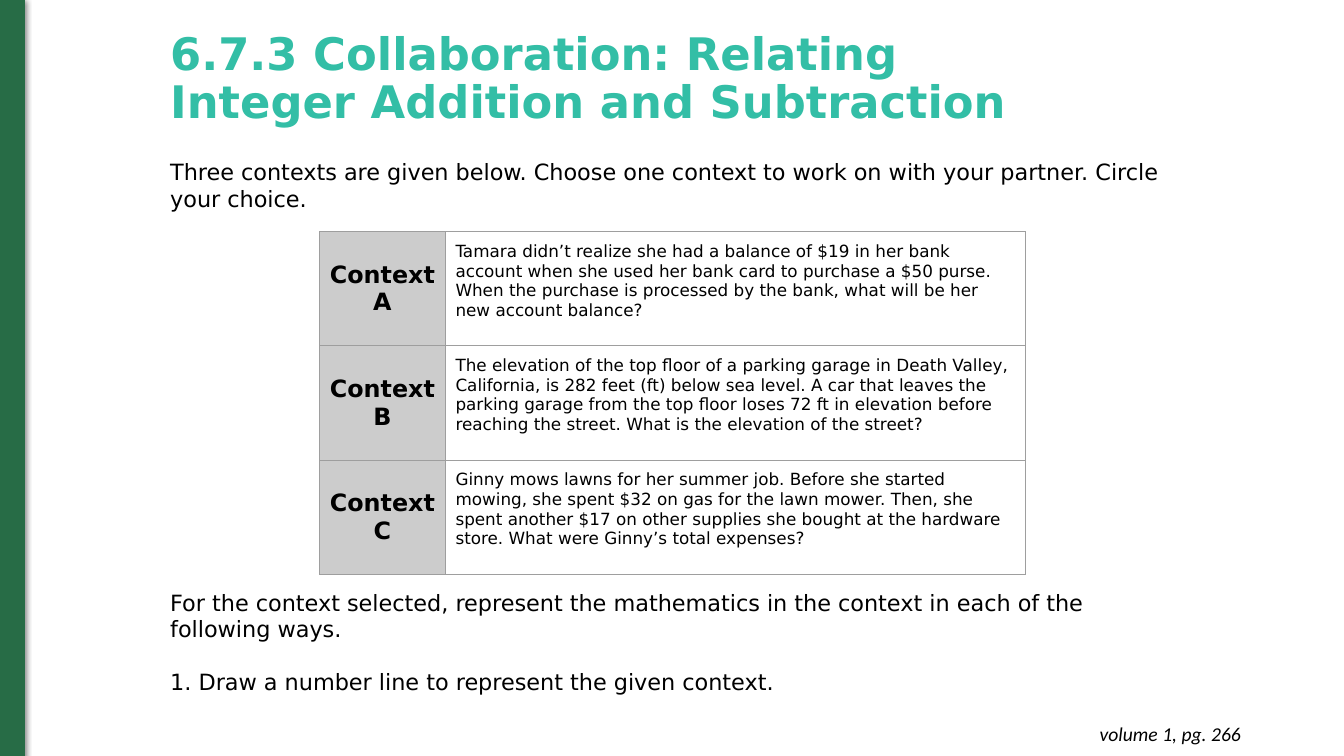
from dataclasses import dataclass

from lxml import etree
from pptx import Presentation
from pptx.dml.color import RGBColor
from pptx.enum import shapes, text
from pptx.oxml import ns
from pptx.util import Pt

COLORS = {
    "bar": "276C46",
    "title": "33BEA6",
    "ink": "000000",
    "label": "CCCCCC",
    "border": "9E9E9E",
}
BODY_FONT = "DejaVu Sans"
LEFT = 114.5
INSET = 7.2


@dataclass(frozen=True)
class Context:
    label: str
    problem: str


@dataclass(frozen=True)
class TextBlock:
    left: float
    top: float
    width: float
    height: float
    paragraphs: tuple[str, ...]
    size: float = 16
    font: str = BODY_FONT
    color: str = "ink"
    bold: bool = False
    italic: bool = False
    align: text.PP_ALIGN = text.PP_ALIGN.LEFT
    anchor: text.MSO_ANCHOR = text.MSO_ANCHOR.TOP
    inset_y: float = INSET
    line_spacing: float = 1.0
    gap: float = 0


CONTEXTS = (
    Context(
        "Context A",
        "Tamara didn’t realize she had a balance of $19 in her bank account when she used "
        "her bank card to purchase a $50 purse. When the purchase is processed by the bank, "
        "what will be her new account balance?",
    ),
    Context(
        "Context B",
        "The elevation of the top floor of a parking garage in Death Valley, California, is "
        "282 feet (ft) below sea level. A car that leaves the parking garage from the top "
        "floor loses 72 ft in elevation before reaching the street. What is the elevation of "
        "the street?",
    ),
    Context(
        "Context C",
        "Ginny mows lawns for her summer job. Before she started mowing, she spent $32 on gas "
        "for the lawn mower. Then, she spent another $17 on other supplies she bought at the "
        "hardware store. What were Ginny’s total expenses?",
    ),
)

TEXT_BLOCKS = (
    TextBlock(
        LEFT, 5, 631.5, 104.4,
        ("6.7.3 Collaboration: Relating Integer Addition and Subtraction",),
        size=32, color="title", bold=True, anchor=text.MSO_ANCHOR.MIDDLE,
        inset_y=3.6, line_spacing=0.9,
    ),
    TextBlock(
        LEFT, 109.4, 751.7, 46,
        ("Three contexts are given below. Choose one context to work on with your partner. "
         "Circle your choice.",),
        inset_y=3.6,
    ),
    TextBlock(
        LEFT, 413.3, 697, 92,
        ("For the context selected, represent the mathematics in the context in each of the "
         "following ways.",
         "1. Draw a number line to represent the given context."),
        gap=18.75,
    ),
    TextBlock(
        686.2, 508.3, 207.4, 31.7, ("volume 1, pg. 266",),
        size=14, font="Calibri", italic=True, align=text.PP_ALIGN.RIGHT,
    ),
)


def rgb(name: str) -> RGBColor:
    return RGBColor.from_string(COLORS[name])


def write(frame, paragraphs: tuple[str, ...], *, size: float, font: str = BODY_FONT,
          color: str = "ink", bold: bool = False, italic: bool = False,
          align: text.PP_ALIGN = text.PP_ALIGN.LEFT, line_spacing: float = 1.0,
          gap: float = 0) -> None:
    """Fill a text frame, leaving the gap between paragraphs."""
    frame.word_wrap = True
    for index, words in enumerate(paragraphs):
        paragraph = frame.add_paragraph() if index else frame.paragraphs[0]
        paragraph.alignment = align
        paragraph.line_spacing = line_spacing
        if index:
            paragraph.space_before = Pt(gap)
        run = paragraph.add_run()
        run.text = words
        run.font.size = Pt(size)
        run.font.name = font
        run.font.bold = bold
        run.font.italic = italic
        run.font.color.rgb = rgb(color)


def add_text_block(slide, block: TextBlock) -> None:
    frame = slide.shapes.add_textbox(
        Pt(block.left), Pt(block.top), Pt(block.width), Pt(block.height)).text_frame
    frame.margin_left = frame.margin_right = Pt(INSET)
    frame.margin_top = frame.margin_bottom = Pt(block.inset_y)
    frame.vertical_anchor = block.anchor
    write(frame, block.paragraphs, size=block.size, font=block.font, color=block.color,
          bold=block.bold, italic=block.italic, align=block.align,
          line_spacing=block.line_spacing, gap=block.gap)


def add_side_bar(slide) -> None:
    bar = slide.shapes.add_shape(
        shapes.MSO_SHAPE.RECTANGLE, Pt(0), Pt(-0.5), Pt(17.5), Pt(541))
    bar.fill.solid()
    bar.fill.fore_color.rgb = rgb("bar")
    bar.line.color.rgb = rgb("bar")
    bar.line.width = Pt(0.75)
    bar.shadow.inherit = False
    effects = bar._element.spPr.find(ns.qn("a:effectLst"))
    shadow = etree.SubElement(
        effects, ns.qn("a:outerShdw"), blurRad=str(Pt(4.5)), dist=str(Pt(1.5)),
        dir="5400000", algn="bl", rotWithShape="0")
    tint = etree.SubElement(shadow, ns.qn("a:srgbClr"), val=COLORS["ink"])
    etree.SubElement(tint, ns.qn("a:alpha"), val="49000")


def add_borders(cell) -> None:
    properties = cell._tc.get_or_add_tcPr()
    for position, side in enumerate(("lnL", "lnR", "lnT", "lnB")):
        line = etree.Element(ns.qn(f"a:{side}"), w=str(Pt(0.75)))
        fill = etree.SubElement(line, ns.qn("a:solidFill"))
        etree.SubElement(fill, ns.qn("a:srgbClr"), val=COLORS["border"])
        properties.insert(position, line)


def add_context_table(slide, contexts: tuple[Context, ...]) -> None:
    label_width, problem_width, row_height = 90, 414, 81.6
    table = slide.shapes.add_table(
        len(contexts), 2, Pt(228.2), Pt(165.5), Pt(label_width + problem_width),
        Pt(row_height * len(contexts))).table
    table.first_row = table.horz_banding = False
    table.columns[0].width = Pt(label_width)
    table.columns[1].width = Pt(problem_width)
    for row, context in enumerate(contexts):
        table.rows[row].height = Pt(row_height)
        label, problem = table.cell(row, 0), table.cell(row, 1)
        for cell in (label, problem):
            cell.margin_left = cell.margin_right = Pt(INSET)
            cell.margin_top = cell.margin_bottom = Pt(INSET)
            add_borders(cell)
        label.fill.solid()
        label.fill.fore_color.rgb = rgb("label")
        label.vertical_anchor = text.MSO_ANCHOR.MIDDLE
        problem.fill.background()
        write(label.text_frame, (context.label,), size=17, bold=True,
              align=text.PP_ALIGN.CENTER)
        write(problem.text_frame, (context.problem,), size=12)


def main() -> None:
    deck = Presentation()
    deck.slide_width, deck.slide_height = Pt(960), Pt(540)
    slide = deck.slides.add_slide(deck.slide_layouts[6])
    add_side_bar(slide)
    add_context_table(slide, CONTEXTS)
    for block in TEXT_BLOCKS:
        add_text_block(slide, block)
    deck.save("out.pptx")


if __name__ == "__main__":
    main()
